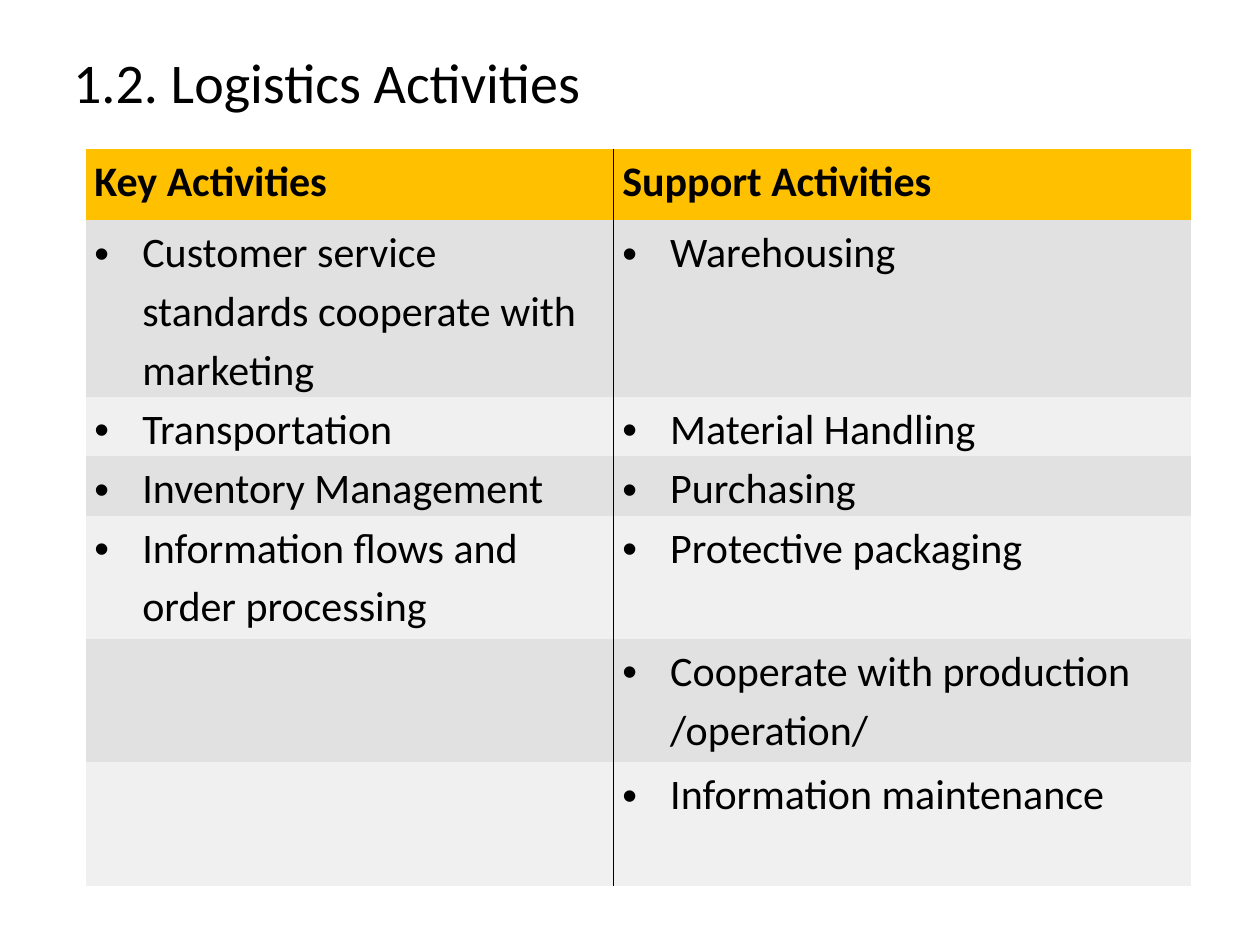
from lxml import etree
from pptx import Presentation
from pptx.dml.color import RGBColor
from pptx.enum import text
from pptx.oxml import ns
from pptx.util import Inches, Pt

FONT = "Calibri"
BLACK = "000000"
HEADER_FILL = "FFC000"
BAND_FILLS = ("E1E1E1", "F0F0F0")
NO_STYLE = "{2D5ABB26-0587-4C30-8999-92F81FD0307C}"

COL_WIDTHS = (4.19, 4.58)
ROW_HEIGHTS = (0.57, 0.98, 0.47, 0.47, 0.98, 0.98, 0.98)
ACTIVITIES = (
    ("Key Activities", "Support Activities"),
    ("Customer service standards cooperate with marketing", "Warehousing"),
    ("Transportation", "Material Handling"),
    ("Inventory Management", "Purchasing"),
    ("Information flows and order processing", "Protective packaging"),
    ("", "Cooperate with production /operation/"),
    ("", "Information maintenance"),
)


def color(value):
    return RGBColor.from_string(value)


def add_run(p, content, size, bold=False):
    r = p.add_run()
    r.text = content
    r.font.name = FONT
    r.font.size = Pt(size)
    r.font.bold = bold
    r.font.color.rgb = color(BLACK)


def add_bullet(p):
    pPr = p._p.get_or_add_pPr()
    pPr.set("marL", str(Inches(0.38)))
    pPr.set("indent", str(Inches(-0.38)))
    etree.SubElement(pPr, ns.qn("a:buFont"), typeface="Arial")
    etree.SubElement(pPr, ns.qn("a:buChar"), char="•")


def add_border(cell, side):
    """Draw a 1 pt line on one side: lnL or lnR."""
    ln = etree.Element(ns.qn(f"a:{side}"), w=str(Pt(1)))
    fill = etree.SubElement(ln, ns.qn("a:solidFill"))
    etree.SubElement(fill, ns.qn("a:srgbClr"), val=BLACK)
    cell._tc.get_or_add_tcPr().insert(0, ln)


def set_title(s, content):
    sp = s.shapes.title
    sp.left, sp.top = Inches(0.48), Inches(0.23)
    sp.width, sp.height = Inches(8.68), Inches(0.74)
    tf = sp.text_frame
    tf.word_wrap = True
    tf.vertical_anchor = text.MSO_ANCHOR.BOTTOM
    p = tf.paragraphs[0]
    p.alignment = text.PP_ALIGN.LEFT
    p.line_spacing = 0.9
    add_run(p, content, 32)


def fill_cell(cell, content, fill, header):
    cell.fill.solid()
    cell.fill.fore_color.rgb = color(fill)
    cell.margin_left = cell.margin_right = Inches(0.07)
    cell.margin_top = cell.margin_bottom = 0
    if not content:
        return
    p = cell.text_frame.paragraphs[0]
    p.line_spacing = 1.15
    if not header:
        add_bullet(p)
    add_run(p, content, 24, bold=header)


def add_activities_table(s):
    height = Inches(5.8)
    frame = s.shapes.add_table(len(ACTIVITIES), len(COL_WIDTHS), Inches(0.68),
                               Inches(1.18), Inches(sum(COL_WIDTHS)), height)
    table = frame.table
    table._tbl.tblPr.find(ns.qn("a:tableStyleId")).text = NO_STYLE
    for column, width in zip(table.columns, COL_WIDTHS):
        column.width = Inches(width)
    for i, (row, row_height) in enumerate(zip(table.rows, ROW_HEIGHTS)):
        row.height = Inches(row_height)
        header = i == 0
        fill = HEADER_FILL if header else BAND_FILLS[(i - 1) % 2]
        for cell, content, side in zip(row.cells, ACTIVITIES[i], ("lnR", "lnL")):
            fill_cell(cell, content, fill, header)
            add_border(cell, side)
    frame.height = height


def main():
    prs = Presentation()
    prs.slide_width, prs.slide_height = Inches(10), Inches(7.5)
    s = prs.slides.add_slide(prs.slide_layouts[5])
    set_title(s, "1.2. Logistics Activities")
    add_activities_table(s)
    prs.save("out.pptx")


if __name__ == "__main__":
    main()
